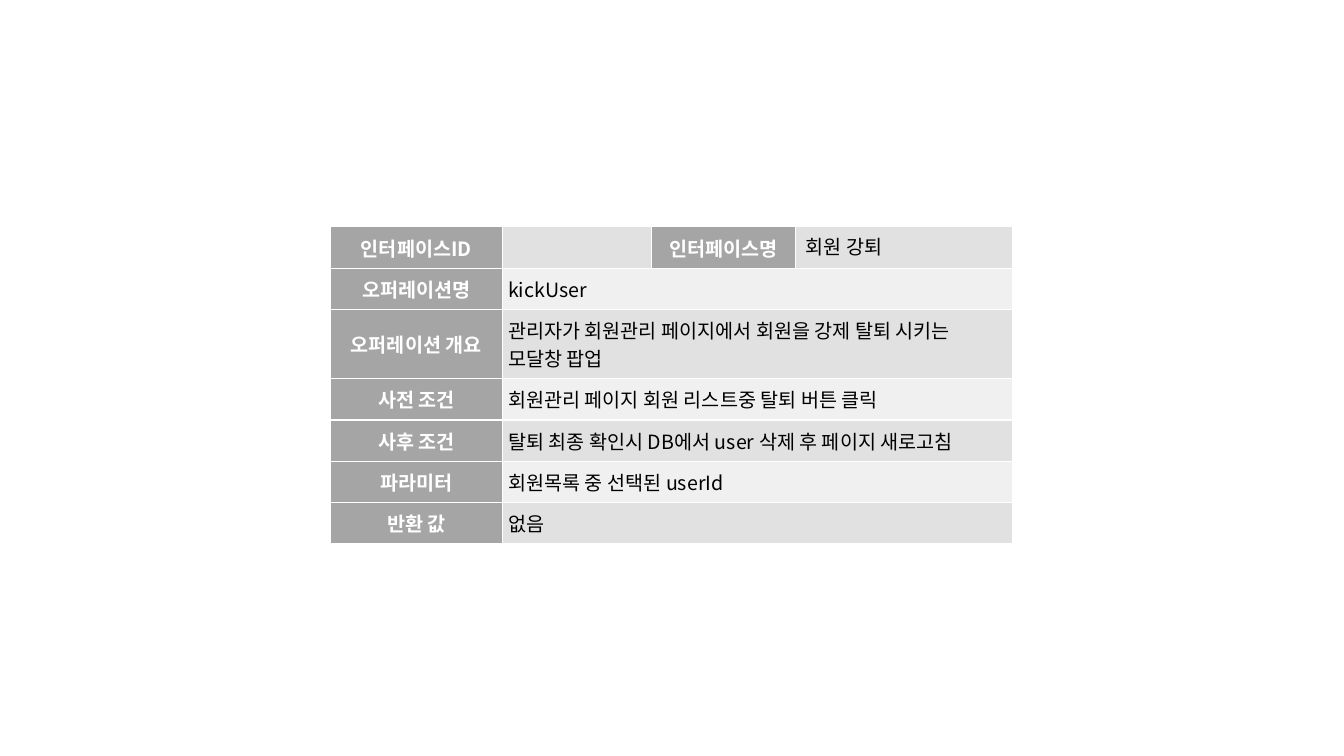
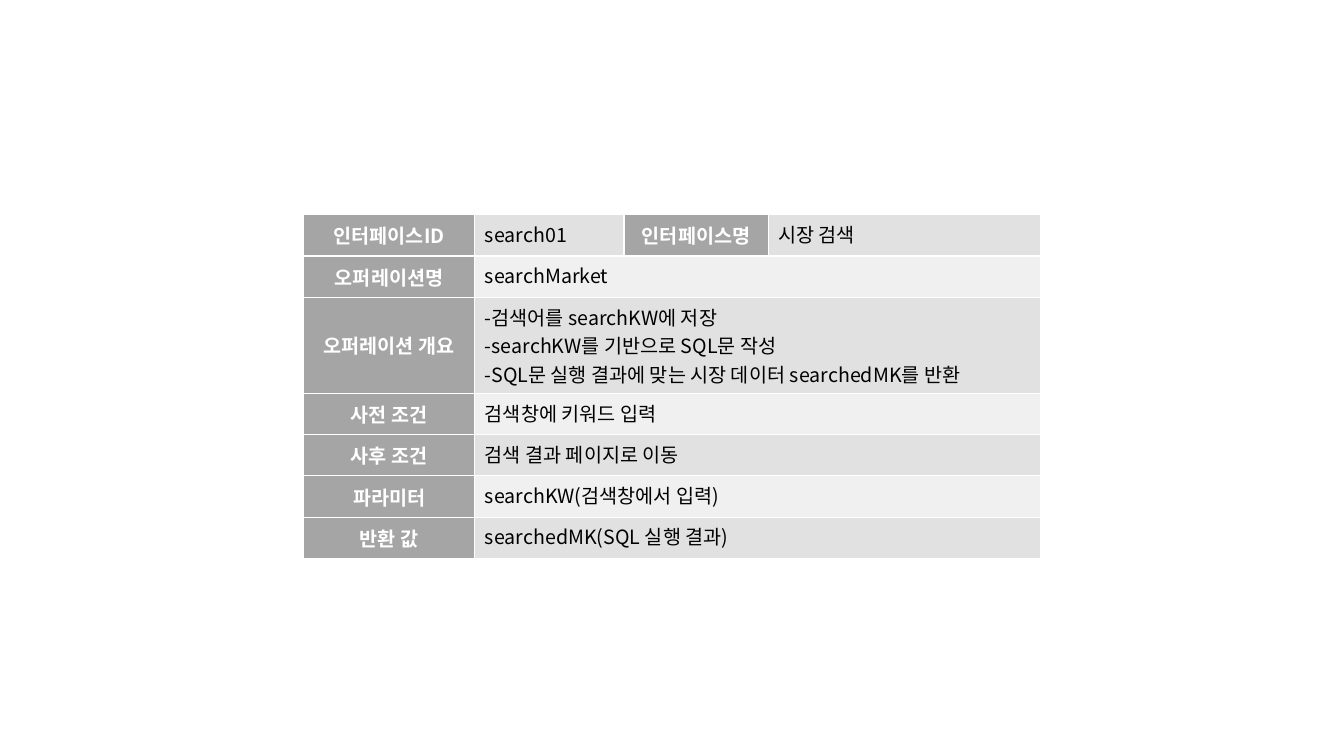
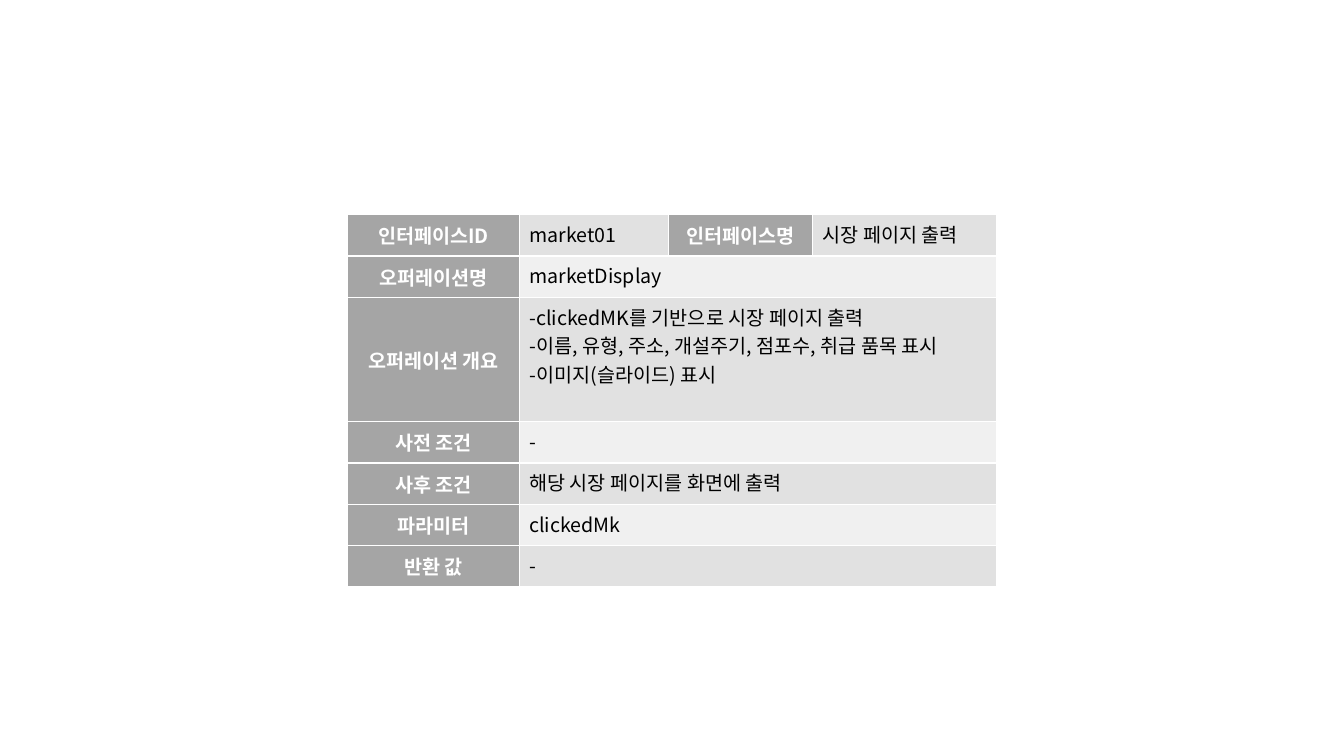
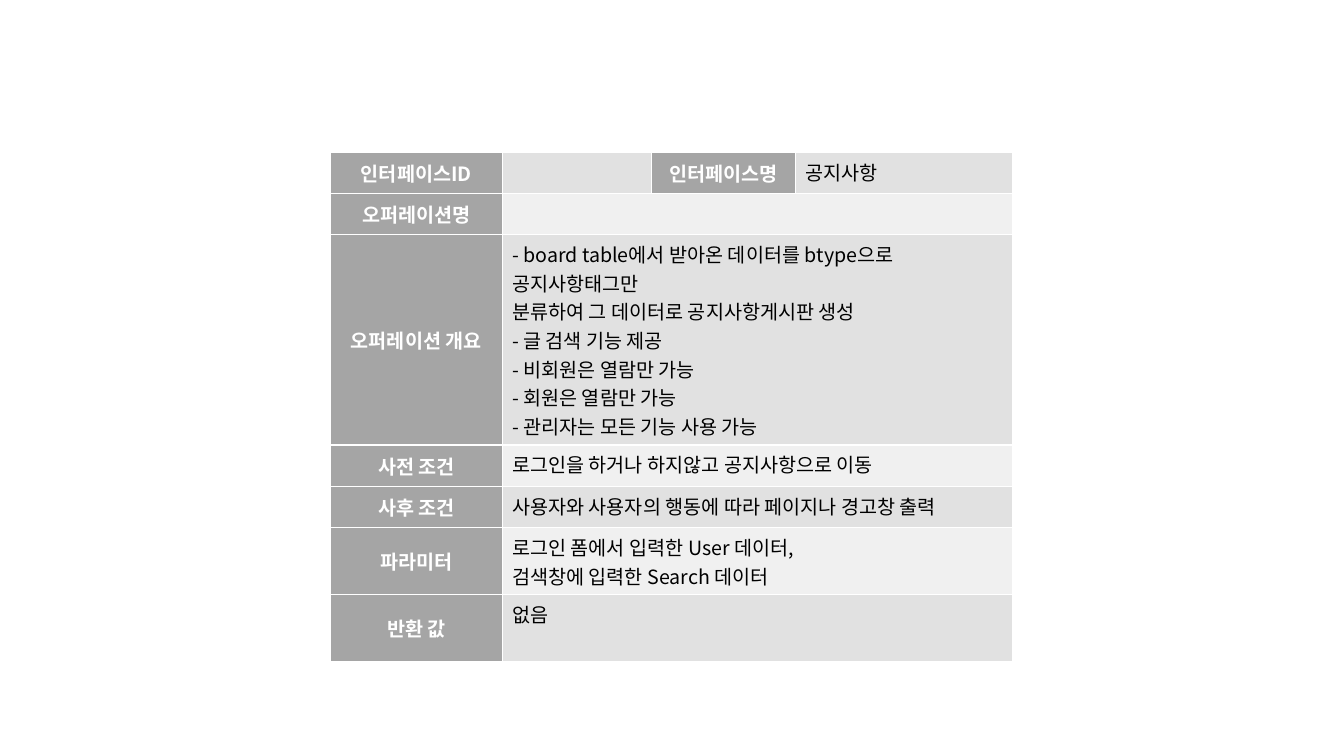
from dataclasses import dataclass

from lxml import etree
from pptx import Presentation, util as u
from pptx.dml import color
from pptx.enum import text
from pptx.oxml import ns


@dataclass(frozen=True)
class Theme:
    font: str = "Noto Sans CJK KR"
    size: int = 14
    white: str = "FFFFFF"
    black: str = "000000"
    label_fill: str = "A5A5A5"
    bands: tuple = ("E1E1E1", "F0F0F0")
    border: float = 1


LABELS = ["오퍼레이션명", "오퍼레이션 개요", "사전 조건", "사후 조건", "파라미터", "반환 값"]
COLUMNS = [1.7, 1.48, 1.43]  # the last column differs by slide
ROW_HEIGHT = 0.41
LINE_HEIGHT = 0.28


class Deck:
    def __init__(self, theme):
        self.theme = theme
        self.prs = Presentation()
        self.prs.slide_width = u.Inches(13.33)
        self.prs.slide_height = u.Inches(7.5)
        self.slide = None

    def new_slide(self):
        self.slide = self.prs.slides.add_slide(self.prs.slide_layouts[6])

    def borders(self, cell):
        props = cell._tc.get_or_add_tcPr()
        for side in ("lnL", "lnR", "lnT", "lnB"):
            line = etree.SubElement(props, ns.qn(f"a:{side}"), w=str(u.Pt(self.theme.border)))
            fill = etree.SubElement(line, ns.qn("a:solidFill"))
            etree.SubElement(fill, ns.qn("a:srgbClr"), val=self.theme.white)

    def cell_text(self, cell, content, ink, bold, align):
        frame = cell.text_frame
        for number, words in enumerate(content.split("\n")):
            paragraph = frame.add_paragraph() if number else frame.paragraphs[0]
            paragraph.alignment = align
            if not words:  # keeps the empty row as low as the others
                etree.SubElement(paragraph._p, ns.qn("a:endParaRPr"), sz=str(self.theme.size * 100))
                continue
            run = paragraph.add_run()
            run.text = words
            style = {"name": self.theme.font, "size": u.Pt(self.theme.size), "bold": bold}
            for key, value in style.items():
                setattr(run.font, key, value)
            run.font.color.rgb = color.RGBColor.from_string(ink)
            etree.SubElement(run._r.get_or_add_rPr(), ns.qn("a:ea"), typeface=self.theme.font)

    def paint(self, cell, fill):
        self.borders(cell)
        cell.fill.solid()
        cell.fill.fore_color.rgb = color.RGBColor.from_string(fill)

    def label(self, cell, content):
        self.paint(cell, self.theme.label_fill)
        cell.vertical_anchor = text.MSO_ANCHOR.MIDDLE
        self.cell_text(cell, content, self.theme.white, True, text.PP_ALIGN.CENTER)

    def value(self, cell, content, row, inset=None):
        self.paint(cell, self.theme.bands[row % 2])
        if inset:
            cell.vertical_anchor = text.MSO_ANCHOR.MIDDLE
            for side in ("left", "right", "top", "bottom"):
                setattr(cell, f"margin_{side}", u.Inches(inset))
        self.cell_text(cell, content, self.theme.black, False, text.PP_ALIGN.LEFT)

    def interface_table(self, left, top, last_column, interface_id, name, values,
                        lines=None, inset=None):
        """Lines maps a row to its number of text lines where it is above one."""
        widths = COLUMNS + [last_column]
        heights = [max(ROW_HEIGHT, 0.1 + LINE_HEIGHT * (lines or {}).get(row, 1))
                   for row in range(len(LABELS) + 1)]
        table = self.slide.shapes.add_table(
            len(heights), len(widths), u.Inches(left), u.Inches(top),
            u.Inches(sum(widths)), u.Inches(sum(heights))).table
        table.first_row = table.horz_banding = False
        for column, width in zip(table.columns, widths):
            column.width = u.Inches(width)
        for row, height in zip(table.rows, heights):
            row.height = u.Inches(height)

        # Top row: two pairs of label and value
        self.label(table.cell(0, 0), "인터페이스ID")
        self.value(table.cell(0, 1), interface_id, 0)
        self.label(table.cell(0, 2), "인터페이스명")
        self.value(table.cell(0, 3), name, 0)

        # Other rows: one label and one wide value
        for row, (caption, content) in enumerate(zip(LABELS, values), 1):
            self.label(table.cell(row, 0), caption)
            table.cell(row, 1).merge(table.cell(row, 3))
            self.value(table.cell(row, 1), content, row, inset)


INTERFACES = [
    # Removing a member
    dict(left=3.28, top=2.25, last_column=2.15, interface_id="", name="회원 강퇴",
         lines={2: 2}, inset=0.06, values=[
             "kickUser",
             "관리자가 회원관리 페이지에서 회원을 강제 탈퇴 시키는 모달창 팝업",
             "회원관리 페이지 회원 리스트중 탈퇴 버튼 클릭",
             "탈퇴 최종 확인시 DB에서 user 삭제 후 페이지 새로고침",
             "회원목록 중 선택된 userId",
             "없음"]),
    # Market search
    dict(left=3.01, top=2.13, last_column=2.7, interface_id="search01", name="시장 검색",
         lines={2: 3}, values=[
             "searchMarket",
             "-검색어를 searchKW에 저장\n"
             "-searchKW를 기반으로 SQL문 작성\n"
             "-SQL문 실행 결과에 맞는 시장 데이터 searchedMK를 반환",
             "검색창에 키워드 입력",
             "검색 결과 페이지로 이동",
             "searchKW(검색창에서 입력)",
             "searchedMK(SQL 실행 결과)"]),
    # Market page
    dict(left=3.45, top=2.13, last_column=1.82, interface_id="market01", name="시장 페이지 출력",
         lines={2: 4}, values=[
             "marketDisplay",
             "-clickedMK를 기반으로 시장 페이지 출력\n"
             "-이름, 유형, 주소, 개설주기, 점포수, 취급 품목 표시\n"
             "-이미지(슬라이드) 표시",
             "-",
             "해당 시장 페이지를 화면에 출력",
             "clickedMk",
             "-"]),
    # Notices
    dict(left=3.28, top=1.51, last_column=2.15, interface_id="", name="공지사항",
         lines={2: 7, 5: 2, 6: 2}, values=[
             "",
             "- board table에서 받아온 데이터를 btype으로 공지사항태그만\n"
             "분류하여 그 데이터로 공지사항게시판 생성\n"
             "- 글 검색 기능 제공\n"
             "- 비회원은 열람만 가능\n"
             "- 회원은 열람만 가능\n"
             "- 관리자는 모든 기능 사용 가능",
             "로그인을 하거나 하지않고 공지사항으로 이동",
             "사용자와 사용자의 행동에 따라 페이지나 경고창 출력",
             "로그인 폼에서 입력한 User 데이터,\n검색창에 입력한 Search 데이터",
             "없음"]),
]


def main():
    deck = Deck(Theme())
    for interface in INTERFACES:
        deck.new_slide()
        deck.interface_table(**interface)
    deck.prs.save("out.pptx")


if __name__ == "__main__":
    main()
